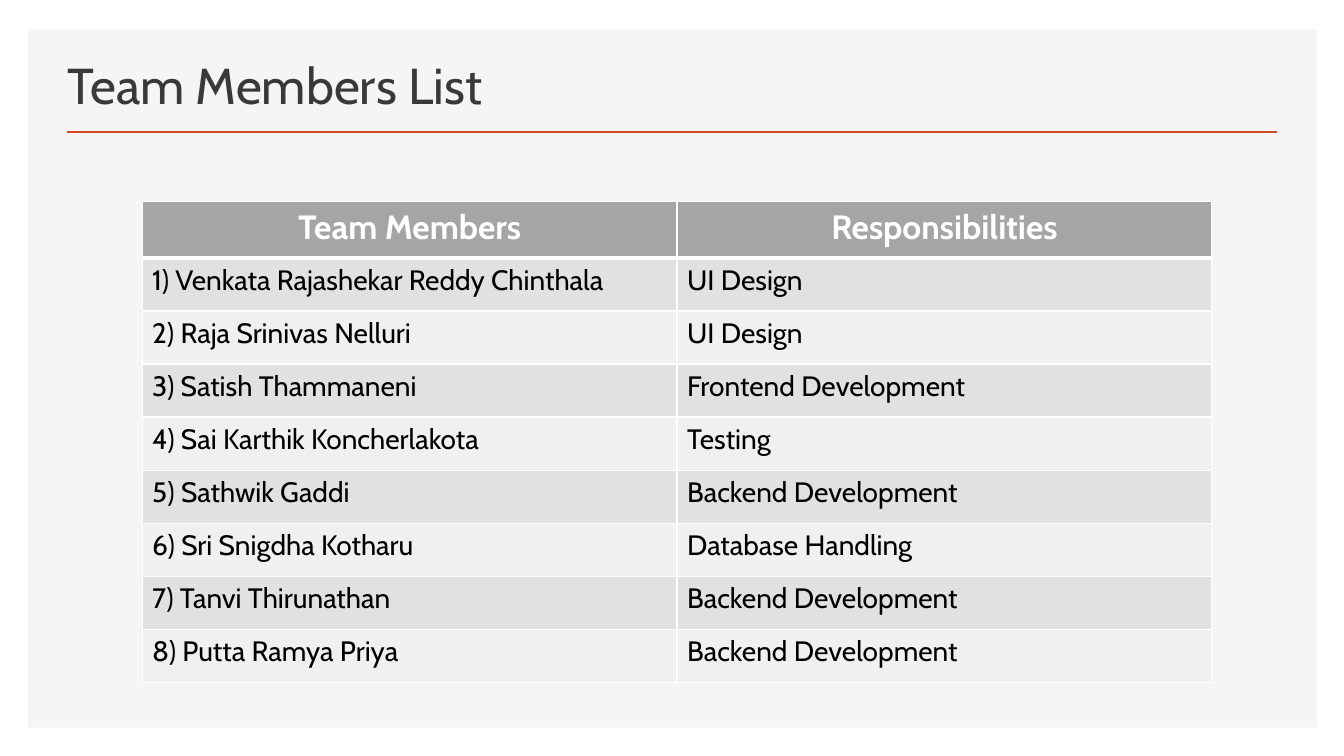
"""Build the team members slide with its table of responsibilities."""
from dataclasses import dataclass

from lxml import etree
from pptx import Presentation
from pptx import util as u
from pptx.dml.color import RGBColor
from pptx.enum import shapes, text
from pptx.oxml import ns

TITLE = "Team Members List"
HEADINGS = ("Team Members", "Responsibilities")
MEMBERS = [
    ("Venkata Rajashekar Reddy Chinthala", "UI Design"),
    ("Raja Srinivas Nelluri", "UI Design"),
    ("Satish Thammaneni", "Frontend Development"),
    ("Sai Karthik Koncherlakota", "Testing"),
    ("Sathwik Gaddi", "Backend Development"),
    ("Sri Snigdha Kotharu", "Database Handling"),
    ("Tanvi Thirunathan", "Backend Development"),
    ("Putta Ramya Priya", "Backend Development"),
]

EMU_PER_PX = 9144
SLIDE = (1333, 750)
PANEL = (28, 29, 1278, 693)
RULE = (66, 131, 1267, 131)
TITLE_BOX = (57, 49, 752, 70)
TABLE = (141, 200, 1061, 477)
HEADER_HEIGHT = 56


@dataclass(frozen=True)
class Theme:
    """Colours, font and type sizes of the slide."""
    font: str = "Cabin"
    panel: str = "F5F5F5"
    accent: str = "D24726"
    title: str = "3B3838"
    white: str = "FFFFFF"
    body: str = "000000"
    header_fill: str = "A5A5A5"
    bands: tuple = ("E1E1E1", "F0F0F0")
    title_size: int = 36
    header_size: int = 24
    body_size: int = 20
    rule_width: int = 2
    border: int = 1
    header_border: int = 3


THEME = Theme()


def px(*lengths):
    """Turn px lengths into EMU."""
    return [u.Emu(round(length * EMU_PER_PX)) for length in lengths]


def write(frame, words, size, color, bold=False, align=text.PP_ALIGN.LEFT):
    """Write one formatted paragraph into a text frame."""
    para = frame.paragraphs[0]
    para.alignment = align
    span = para.add_run()
    span.text = words
    span.font.color.rgb = RGBColor.from_string(color)
    for name, value in {"name": THEME.font, "size": u.Pt(size), "bold": bold}.items():
        setattr(span.font, name, value)


def paint(fill, color):
    """Give a fill one solid colour."""
    fill.solid()
    fill.fore_color.rgb = RGBColor.from_string(color)


def draw_borders(cell, widths):
    """Draw white cell borders from widths in points by side."""
    props = cell._tc.get_or_add_tcPr()
    for index, (side, width) in enumerate(widths.items()):
        line = etree.Element(ns.qn(f"a:ln{side}"), w=str(u.Pt(width)))
        solid = etree.SubElement(line, ns.qn("a:solidFill"))
        etree.SubElement(solid, ns.qn("a:srgbClr"), val=THEME.white)
        props.insert(index, line)


def add_backdrop(page):
    """Add the panel and the rule below the title."""
    panel = page.shapes.add_shape(shapes.MSO_SHAPE.RECTANGLE, *px(*PANEL))
    panel.shadow.inherit = False
    paint(panel.fill, THEME.panel)
    panel.line.fill.background()
    rule = page.shapes.add_connector(shapes.MSO_CONNECTOR.STRAIGHT, *px(*RULE))
    rule.line.color.rgb = RGBColor.from_string(THEME.accent)
    rule.line.width = u.Pt(THEME.rule_width)
    etree.SubElement(rule._element.spPr, ns.qn("a:effectLst"))


def add_title(page):
    """Add the slide title."""
    frame = page.shapes.add_textbox(*px(*TITLE_BOX)).text_frame
    for name, value in {"word_wrap": True, "vertical_anchor": text.MSO_ANCHOR.BOTTOM}.items():
        setattr(frame, name, value)
    write(frame, TITLE, THEME.title_size, THEME.title)


def add_team_table(page):
    """Add the table of members, with banded rows under a header."""
    rows = [HEADINGS] + [(f"{number}) {name}", role)
                         for number, (name, role) in enumerate(MEMBERS, 1)]
    grid = page.shapes.add_table(len(rows), len(HEADINGS), *px(*TABLE)).table
    for name in ("first_row", "horz_banding"):
        setattr(grid, name, False)
    for column in grid.columns:
        column.width, = px(TABLE[2] / len(HEADINGS))
    body_height = (TABLE[3] - HEADER_HEIGHT) / len(MEMBERS)
    for index, row in enumerate(rows):
        header = index == 0
        grid.rows[index].height, = px(HEADER_HEIGHT if header else body_height)
        fill = THEME.header_fill if header else THEME.bands[(index - 1) % 2]
        style = ((THEME.header_size, THEME.white, True, text.PP_ALIGN.CENTER)
                 if header else (THEME.body_size, THEME.body))
        widths = dict.fromkeys("LRTB", THEME.border)
        if index < 2:
            widths["B" if header else "T"] = THEME.header_border
        for cell, words in zip(grid.rows[index].cells, row):
            write(cell.text_frame, words, *style)
            paint(cell.fill, fill)
            draw_borders(cell, widths)


def main():
    """Build and save the deck."""
    deck = Presentation()
    deck.slide_width, deck.slide_height = px(*SLIDE)
    page = deck.slides.add_slide(deck.slide_layouts[6])
    paint(page.background.fill, THEME.white)
    add_backdrop(page)
    add_title(page)
    add_team_table(page)
    deck.save("out.pptx")


if __name__ == "__main__":
    main()
